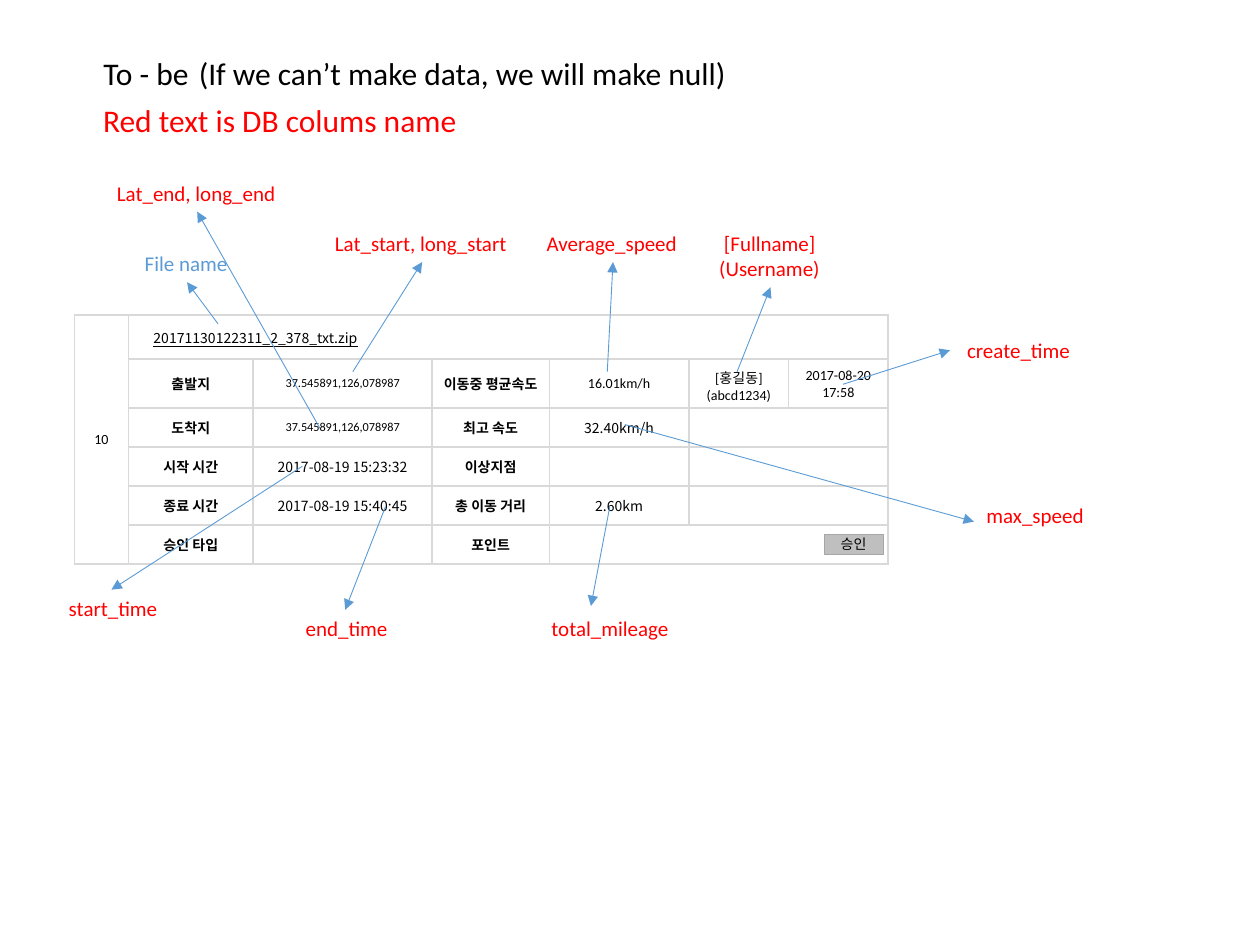
from lxml import etree
from pptx import Presentation
from pptx.dml.color import RGBColor
from pptx.enum.shapes import MSO_CONNECTOR, MSO_SHAPE
from pptx.enum.text import MSO_ANCHOR as ANC, MSO_AUTO_SIZE as AUTO, PP_ALIGN as AL
from pptx.oxml.ns import qn
from pptx.util import Inches, Pt

RED = RGBColor(0xFF, 0x00, 0x00)
BLUE = RGBColor(0x5B, 0x9B, 0xD5)
BLACK = RGBColor(0x00, 0x00, 0x00)
WHITE = RGBColor(0xFF, 0xFF, 0xFF)
BORDER = RGBColor(0xD9, 0xD9, 0xD9)
BUTTON = RGBColor(0xBF, 0xBF, 0xBF)
BUTTON_LINE = RGBColor(0xA6, 0xA6, 0xA6)
LATIN, KOREAN = "Calibri", "Noto Sans CJK KR"


def write(tf, text, align, color, **fmt):
    for i, line in enumerate(text.split("\n")):
        p = tf.paragraphs[0] if i == 0 else tf.add_paragraph()
        p.alignment = align
        r = p.add_run()
        r.text = line
        for name, value in fmt.items():
            setattr(r.font, name, value)
        r.font.color.rgb = color
        etree.SubElement(r._r.get_or_add_rPr(), qn("a:ea"), typeface=KOREAN)


def label(sp, text, color, size, name=LATIN, **fmt):
    tf = sp.text_frame
    frame = {"word_wrap": False, "auto_size": AUTO.SHAPE_TO_FIT_TEXT,
             "vertical_anchor": ANC.TOP}
    for key, value in frame.items():
        setattr(tf, key, value)
    write(tf, text, AL.LEFT, color, size=Pt(size), name=name, **fmt)


prs = Presentation()
prs.slide_width, prs.slide_height = Inches(10), Inches(7.5)
s = prs.slides.add_slide(prs.slide_layouts[5])

title = s.shapes.title
title.left, title.top, title.width, title.height = [Inches(v) for v in (0.72, 0.38, 0.89, 0.4)]
label(title, "To - be", BLACK, 18)

cols = [0.43, 0.99, 1.42, 0.93, 1.11, 0.79, 0.79]
row_heights = [0.35] * 2 + [0.31] * 4
rows = [
    ["10"],
    ["", "출발지", "37.545891,126,078987", "이동중 평균속도", "16.01km/h",
     "[홍길동]\n(abcd1234)", "2017-08-20\n17:58"],
    ["", "도착지", "37.545891,126,078987", "최고 속도", "32.40km/h"],
    ["", "시작 시간", "2017-08-19 15:23:32", "이상지점"],
    ["", "종료 시간", "2017-08-19 15:40:45", "총 이동 거리", "2.60km"],
    ["", "승인 타입", "", "포인트"],
]
merges = [(0, 0, 5, 0), (0, 1, 0, 6), (5, 4, 5, 6)] + [(i, 5, i, 6) for i in (2, 3, 4)]

tbl = s.shapes.add_table(len(rows), len(cols), Inches(0.59), Inches(2.5),
                         Inches(sum(cols)), Inches(sum(row_heights))).table
tbl.first_row = tbl.horz_banding = False
for col, width in zip(tbl.columns, cols):
    col.width = Inches(width)
for row, height in zip(tbl.rows, row_heights):
    row.height = Inches(height)
for r0, c0, r1, c1 in merges:
    tbl.cell(r0, c0).merge(tbl.cell(r1, c1))

for i, row in enumerate(rows):
    for j in range(len(cols)):
        cell = tbl.cell(i, j)
        cell.vertical_anchor = ANC.MIDDLE
        for side in ("left", "right", "top", "bottom"):
            setattr(cell, f"margin_{side}", Inches(0.06))
        tcPr = cell._tc.get_or_add_tcPr()
        for tag in ("a:lnL", "a:lnR", "a:lnT", "a:lnB"):
            ln = etree.SubElement(tcPr, qn(tag), w=str(Pt(1)))
            fill = etree.SubElement(ln, qn("a:solidFill"))
            etree.SubElement(fill, qn("a:srgbClr"), val=str(BORDER))
        cell.fill.solid()
        cell.fill.fore_color.rgb = WHITE
        text = row[j] if j < len(row) else ""
        if text:
            coords = j == 2 and i in (1, 2)
            korean = i >= 2 and j in (1, 2, 4) and not coords
            write(cell.text_frame, text, AL.CENTER, BLACK, size=Pt(7 if coords else 8),
                  name=KOREAN if korean else LATIN, bold=j in (1, 3))
        else:
            cell.text_frame.paragraphs[0]._p.get_or_add_endParaRPr().set("sz", "800")

sp = s.shapes.add_shape(MSO_SHAPE.RECTANGLE, Inches(6.54), Inches(4.24), Inches(0.47), Inches(0.16))
sp.shadow.inherit = False
sp.fill.solid()
sp.fill.fore_color.rgb = BUTTON
sp.line.color.rgb = BUTTON_LINE
sp.line.width = Pt(0.25)
sp.text_frame.word_wrap = False
sp.text_frame.vertical_anchor = ANC.MIDDLE
write(sp.text_frame, "승인", AL.CENTER, BLACK, size=Pt(8), name=LATIN)

notes = [
    ("Red text is DB colums name", 0.72, 0.75, 3.04, 0.4, RED, 18, {}),
    ("(If we can’t make data, we will make null)", 1.48, 0.38, 4.44, 0.4, BLACK, 18, {}),
    ("20171130122311_2_378_txt.zip", 1.12, 2.57, 1.94, 0.24, BLACK, 8,
     {"name": KOREAN, "underline": True}),
]
for text, x, y, w, h, color, size, fmt in notes:
    sp = s.shapes.add_textbox(Inches(x), Inches(y), Inches(w), Inches(h))
    label(sp, text, color, size, **fmt)

TOP, LEFT, BOTTOM = 0, 1, 2
fields = [
    ("File name", 1.05, 1.94, 0.87, 0.3, BLUE, (1.73, 2.57), BOTTOM),
    ("Lat_start, long_start", 2.56, 1.78, 1.58, 0.3, RED, (2.8, 2.95), BOTTOM),
    ("Average_speed", 4.24, 1.78, 1.25, 0.3, RED, (4.82, 2.95), BOTTOM),
    (" [Fullname]\n(Username)", 5.61, 1.78, 1.01, 0.5, RED, (5.85, 2.95), BOTTOM),
    (" create_time", 7.54, 2.63, 1.07, 0.3, RED, (6.69, 3.05), LEFT),
    ("Lat_end, long_end", 0.83, 1.38, 1.47, 0.3, RED, (2.54, 3.4), BOTTOM),
    ("max_speed", 7.73, 3.94, 0.98, 0.3, RED, (4.96, 3.37), (7.73, 4.14)),
    (" start_time", 0.41, 4.68, 0.95, 0.3, RED, (2.4, 3.7), TOP),
    (" end_time", 2.29, 4.84, 0.9, 0.3, RED, (3.06, 4.02), TOP),
    (" total_mileage", 4.24, 4.84, 1.18, 0.3, RED, (4.84, 4.02), (4.69, 4.81)),
]
for text, x, y, w, h, color, start, end in fields:
    sp = s.shapes.add_textbox(Inches(x), Inches(y), Inches(w), Inches(h))
    label(sp, text, color, 12)
    free = isinstance(end, tuple)
    points = [Inches(v) for v in start + (end if free else start)]
    cn = s.shapes.add_connector(MSO_CONNECTOR.STRAIGHT, *points)
    if not free:
        cn.end_connect(sp, end)
    cn.line.color.rgb = BLUE
    cn.line.width = Pt(0.5)
    etree.SubElement(cn.line._get_or_add_ln(), qn("a:tailEnd"), type="triangle")
    etree.SubElement(cn._element.spPr, qn("a:effectLst"))

prs.save("out.pptx")
